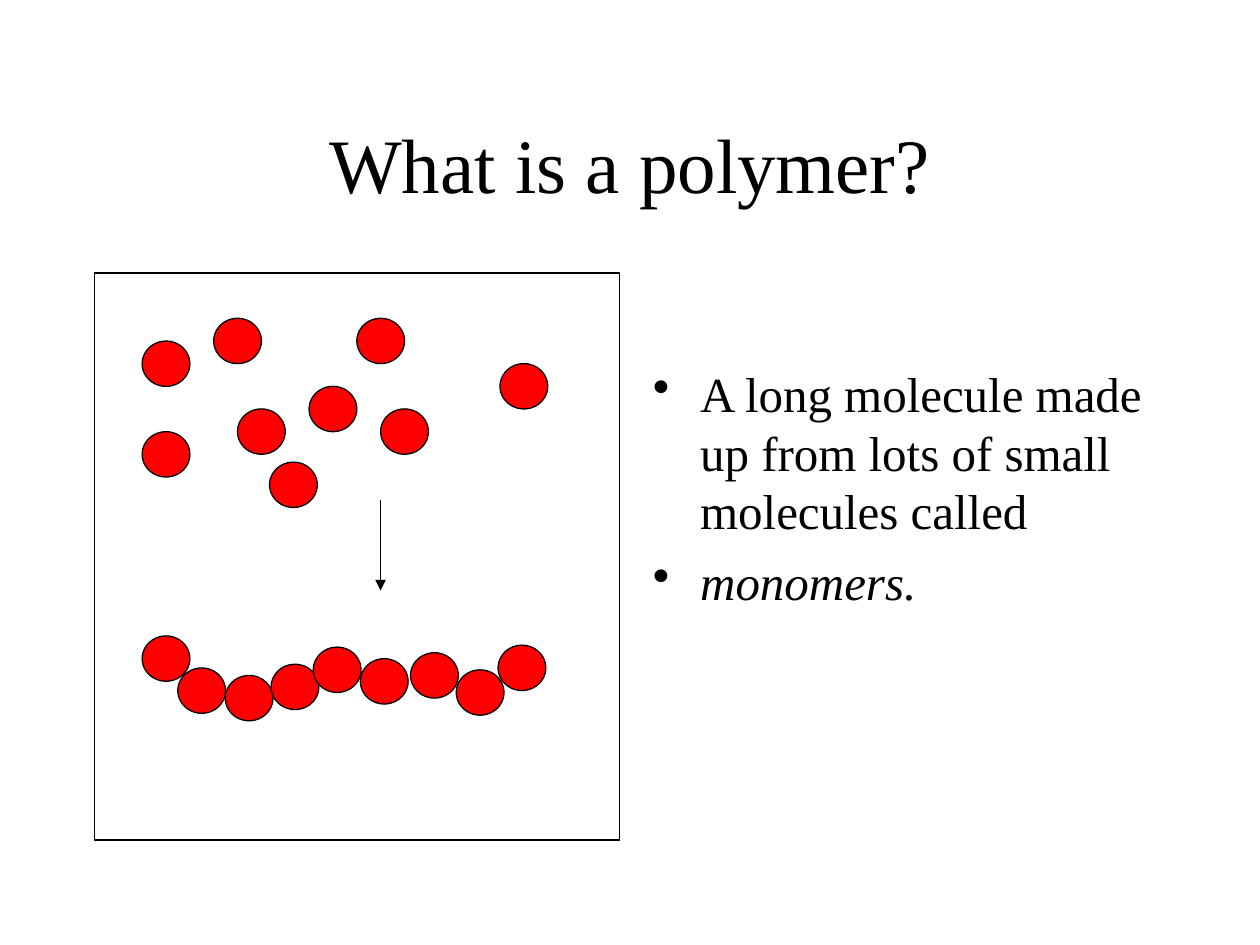
"""Build the "What is a polymer?" slide with loose and chained monomers."""
from dataclasses import dataclass
from typing import Any

from lxml.etree import SubElement
from pptx import Presentation
from pptx.dml.color import RGBColor
from pptx.enum.shapes import MSO_CONNECTOR as Connector, MSO_SHAPE as Preset
from pptx.enum.text import MSO_ANCHOR as Anchor, PP_ALIGN as Align
from pptx.oxml.ns import qn
from pptx.util import Pt

BLACK, WHITE, RED = "000000", "FFFFFF", "FF0000"
LINE_WIDTH = 0.75
BULLET_INDENT = 27


@dataclass(frozen=True)
class Frame:
    left: float
    top: float
    width: float
    height: float

    def lengths(self) -> tuple[Pt, ...]:
        return tuple(Pt(v) for v in (self.left, self.top, self.width, self.height))


@dataclass(frozen=True)
class Monomer:
    left: float
    top: float

    def frame(self) -> Frame:
        return Frame(self.left, self.top, 27.3, 25.9)


@dataclass(frozen=True)
class Line:
    text: str
    size: float
    italic: bool = False
    bullet: bool = False
    align: Align = Align.LEFT
    space_before: float = 0


CHAIN_START = [
    Monomer(81.2, 363.4), Monomer(101.6, 381.7), Monomer(205.9, 376.4),
    Monomer(128.7, 386), Monomer(154.9, 379.6), Monomer(179, 369.8),
]
LOOSE = [
    Monomer(122.1, 181.9), Monomer(176.6, 220.8), Monomer(203.9, 181.9),
    Monomer(135.7, 233.7), Monomer(217.5, 233.7), Monomer(285.7, 207.8),
    Monomer(154, 264.1), Monomer(81.2, 194.9), Monomer(81.2, 246.7),
]
CHAIN_END = [Monomer(284.6, 368.7), Monomer(260.7, 382.8), Monomer(234.6, 373)]

TITLE = [Line("What is a polymer?", 44, align=Align.CENTER)]
DEFINITION = [
    Line("A long molecule made up from lots of small molecules called", 28,
         bullet=True, space_before=7),
    Line("monomers.", 28, italic=True, bullet=True, space_before=7),
]


def color(value: str) -> RGBColor:
    return RGBColor.from_string(value)


def apply(target: Any, values: dict[str, Any]) -> None:
    for name, value in values.items():
        setattr(target, name, value)


def add_bullet(para: Any) -> None:
    properties = para._p.get_or_add_pPr()
    properties.set("marL", str(Pt(BULLET_INDENT)))
    properties.set("indent", str(-Pt(BULLET_INDENT)))
    SubElement(properties, qn("a:buChar")).set("char", "•")


def add_text(page: Any, frame: Frame, lines: list[Line], anchor: Anchor) -> None:
    box = page.shapes.add_textbox(*frame.lengths())
    apply(box.text_frame, {"word_wrap": True, "vertical_anchor": anchor})
    for index, line in enumerate(lines):
        para = box.text_frame.add_paragraph() if index else box.text_frame.paragraphs[0]
        apply(para, {"alignment": line.align, "space_before": Pt(line.space_before)})
        if line.bullet:
            add_bullet(para)
        span = para.add_run()
        span.text = line.text
        apply(span.font, {"name": "Times New Roman", "size": Pt(line.size),
                          "italic": line.italic})
        span.font.color.rgb = color(BLACK)


def outline(shape: Any) -> None:
    shape.line.width = Pt(LINE_WIDTH)
    shape.line.color.rgb = color(BLACK)


def add_filled(group: Any, preset: Preset, frame: Frame, fill: str) -> None:
    shape = group.shapes.add_shape(preset, *frame.lengths())
    shape.shadow.inherit = False
    shape.fill.solid()
    shape.fill.fore_color.rgb = color(fill)
    outline(shape)


def add_down_arrow(group: Any, left: float, top: float, bottom: float) -> None:
    arrow = group.shapes.add_connector(
        Connector.STRAIGHT, Pt(left), Pt(top), Pt(left), Pt(bottom))
    outline(arrow)
    SubElement(arrow.line._get_or_add_ln(), qn("a:tailEnd")).set("type", "triangle")
    SubElement(arrow._element.spPr, qn("a:effectLst"))


def main() -> None:
    deck = Presentation()
    apply(deck, {"slide_width": Pt(720), "slide_height": Pt(540)})
    page = deck.slides.add_slide(deck.slide_layouts[6])
    add_text(page, Frame(54, 48, 612, 90), TITLE, Anchor.MIDDLE)
    add_text(page, Frame(366, 204, 300, 198), DEFINITION, Anchor.TOP)
    diagram = page.shapes.add_group_shape()
    add_filled(diagram, Preset.RECTANGLE, Frame(54, 156, 300, 324), WHITE)
    for monomer in CHAIN_START + LOOSE + CHAIN_END:
        add_filled(diagram, Preset.OVAL, monomer.frame(), RED)
    add_down_arrow(diagram, 217.5, 285.6, 337.4)
    deck.save("out.pptx")


if __name__ == "__main__":
    main()
